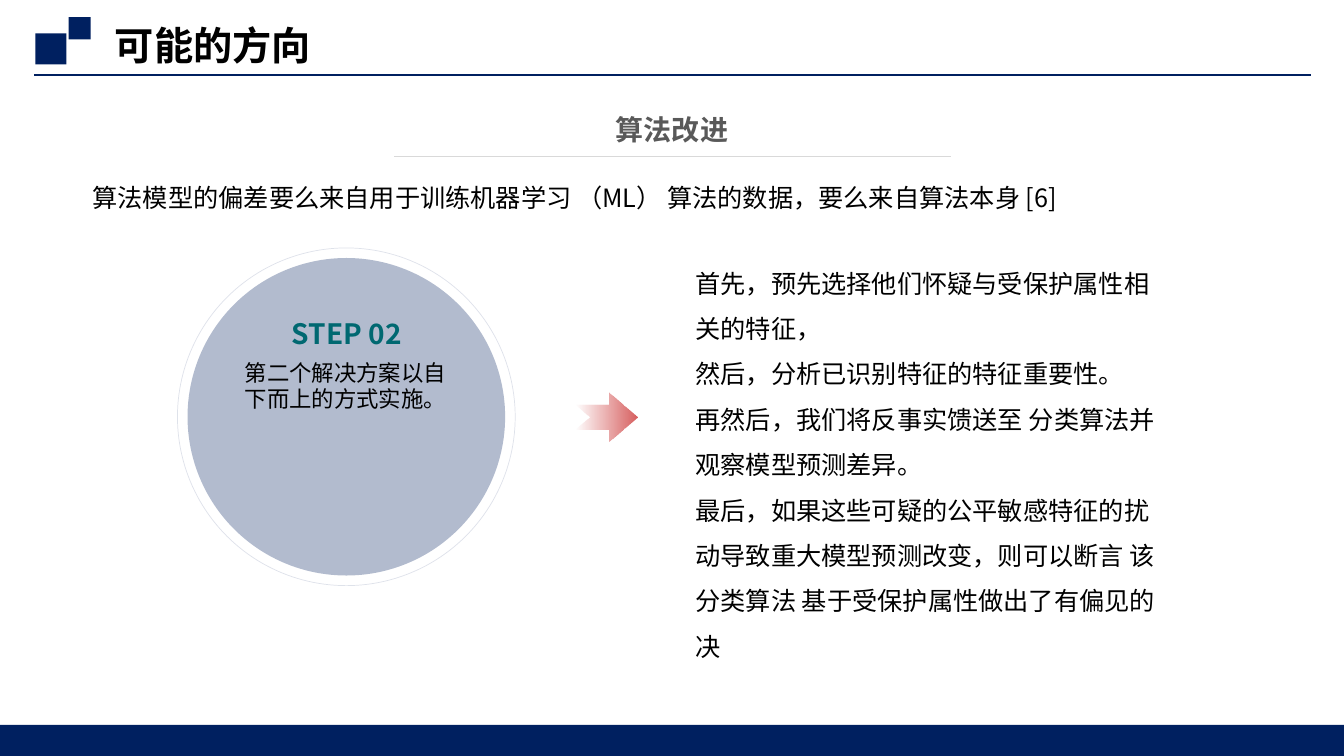
"""Build the slide on possible directions for improving algorithms."""
from lxml.etree import SubElement
from pptx import Presentation
from pptx.dml.color import RGBColor
from pptx.enum.shapes import MSO_CONNECTOR, MSO_SHAPE as Shape
from pptx.enum.text import MSO_ANCHOR, MSO_AUTO_SIZE, PP_ALIGN as Align
from pptx.oxml.ns import qn
from pptx.util import Inches, Pt

FONT = "Noto Sans CJK SC"
COLOURS = {
    "navy": "002060",
    "rule": "D9D9D9",
    "heading": "595959",
    "step": "006871",
    "arrow": "C00000",
    "text": "000000",
}
COLOURS = {name: RGBColor.from_string(value) for name, value in COLOURS.items()}


def write(box, lines, size, colour="text", bold=False, align=Align.LEFT, spacing=1.0):
    """Fill a box with formatted paragraphs."""
    frame = box.text_frame
    frame.text = "\n".join(lines)
    for para in frame.paragraphs:
        para.alignment = align
        para.line_spacing = spacing
        for span in para.runs:
            span.font.size = Pt(size)
            span.font.name = FONT
            span.font.bold = bold
            span.font.color.rgb = COLOURS[colour]
            SubElement(span.font._element, qn("a:ea"), typeface=FONT)


def set_opacity(shape, *percents):
    """Set the opacity of each colour in a shape, in order."""
    colours = shape._element.spPr.iter(qn("a:srgbClr"))
    for colour, percent in zip(list(colours), percents):
        SubElement(colour, qn("a:alpha"), val=str(percent * 1000))


deck = Presentation()
deck.slide_width, deck.slide_height = Inches(13.33), Inches(7.5)
page = deck.slides.add_slide(deck.slide_layouts[5])
shapes = page.shapes

for start, end, y, colour, width in [
    (0.34, 13, 0.74, "navy", 1.5),
    (3.91, 9.43, 1.55, "rule", 1),
]:
    line = shapes.add_connector(
        MSO_CONNECTOR.STRAIGHT, Inches(start), Inches(y), Inches(end), Inches(y))
    line.line.color.rgb = COLOURS[colour]
    line.line.width = Pt(width)
    SubElement(line._element.spPr, qn("a:effectLst"))

for left, top, width, height in [
    (0.35, 0.33, 0.31, 0.31),
    (0.68, 0.17, 0.22, 0.22),
    (0, 7.19, 13.33, 0.31),
]:
    block = shapes.add_shape(
        Shape.RECTANGLE, Inches(left), Inches(top), Inches(width), Inches(height))
    block.shadow.inherit = False
    block.fill.solid()
    block.fill.fore_color.rgb = COLOURS["navy"]
    block.line.fill.background()

title = shapes.title
title.left, title.top = Inches(1.14), Inches(0.21)
title.width, title.height = Inches(5.59), Inches(0.48)
frame = title.text_frame
frame.margin_left = frame.margin_right = frame.margin_top = frame.margin_bottom = 0
frame.auto_size = MSO_AUTO_SIZE.NONE
frame.vertical_anchor = MSO_ANCHOR.MIDDLE
write(title, ["可能的方向"], 28, bold=True)

disc = shapes.add_shape(
    Shape.OVAL, Inches(1.86), Inches(2.56), Inches(3.15), Inches(3.15))
disc.shadow.inherit = False
disc.fill.solid()
disc.fill.fore_color.rgb = COLOURS["navy"]
disc.line.fill.background()
set_opacity(disc, 30)

arrow = shapes.add_shape(
    Shape.NOTCHED_RIGHT_ARROW, Inches(5.71), Inches(3.89), Inches(0.61), Inches(0.49))
arrow.shadow.inherit = False
arrow.adjustments[0], arrow.adjustments[1] = 0.5, 0.572
arrow.fill.gradient()
arrow.fill.gradient_angle = 0
for stop, position in zip(arrow.fill.gradient_stops, (0, 1)):
    stop.color.rgb = COLOURS["arrow"]
    stop.position = position
arrow.line.fill.background()
set_opacity(arrow, 0, 64)

ring = shapes.add_shape(
    Shape.OVAL, Inches(1.76), Inches(2.46), Inches(3.35), Inches(3.35))
ring.shadow.inherit = False
ring.fill.background()
ring.line.color.rgb = COLOURS["navy"]
ring.line.width = Pt(0.5)
set_opacity(ring, 12)

steps = [
    "首先，预先选择他们怀疑与受保护属性相关的特征，",
    "然后，分析已识别特征的特征重要性。",
    "再然后，我们将反事实馈送至 分类算法并观察模型预测差异。",
    "最后，如果这些可疑的公平敏感特征的扰动导致重大模型预测改变，"
    "则可以断言 该分类算法 基于受保护属性做出了有偏见的决",
]
source = "算法模型的偏差要么来自用于训练机器学习 （ML） 算法的数据，要么来自算法本身 [6]"
for (left, top, width, height), wrap, lines, style in [
    ((2.87, 0.9, 7.59, 0.55), True, ["算法改进"],
     dict(size=20, colour="heading", bold=True, align=Align.CENTER, spacing=1.5)),
    ((0.82, 1.76, 9.96, 0.4), False, [source], dict(size=18)),
    ((2.75, 3.09, 1.38, 0.44), True, ["STEP 02"],
     dict(size=20, colour="step", bold=True, align=Align.CENTER)),
    ((2.33, 3.51, 2.21, 0.64), True, ["第二个解决方案以自下而上的方式实施。"],
     dict(size=16)),
    ((6.8, 2.46, 4.77, 4.19), True, steps, dict(size=18, spacing=1.5)),
]:
    box = shapes.add_textbox(Inches(left), Inches(top), Inches(width), Inches(height))
    box.text_frame.word_wrap = wrap
    box.text_frame.auto_size = MSO_AUTO_SIZE.SHAPE_TO_FIT_TEXT
    write(box, lines, **style)

deck.save("out.pptx")
